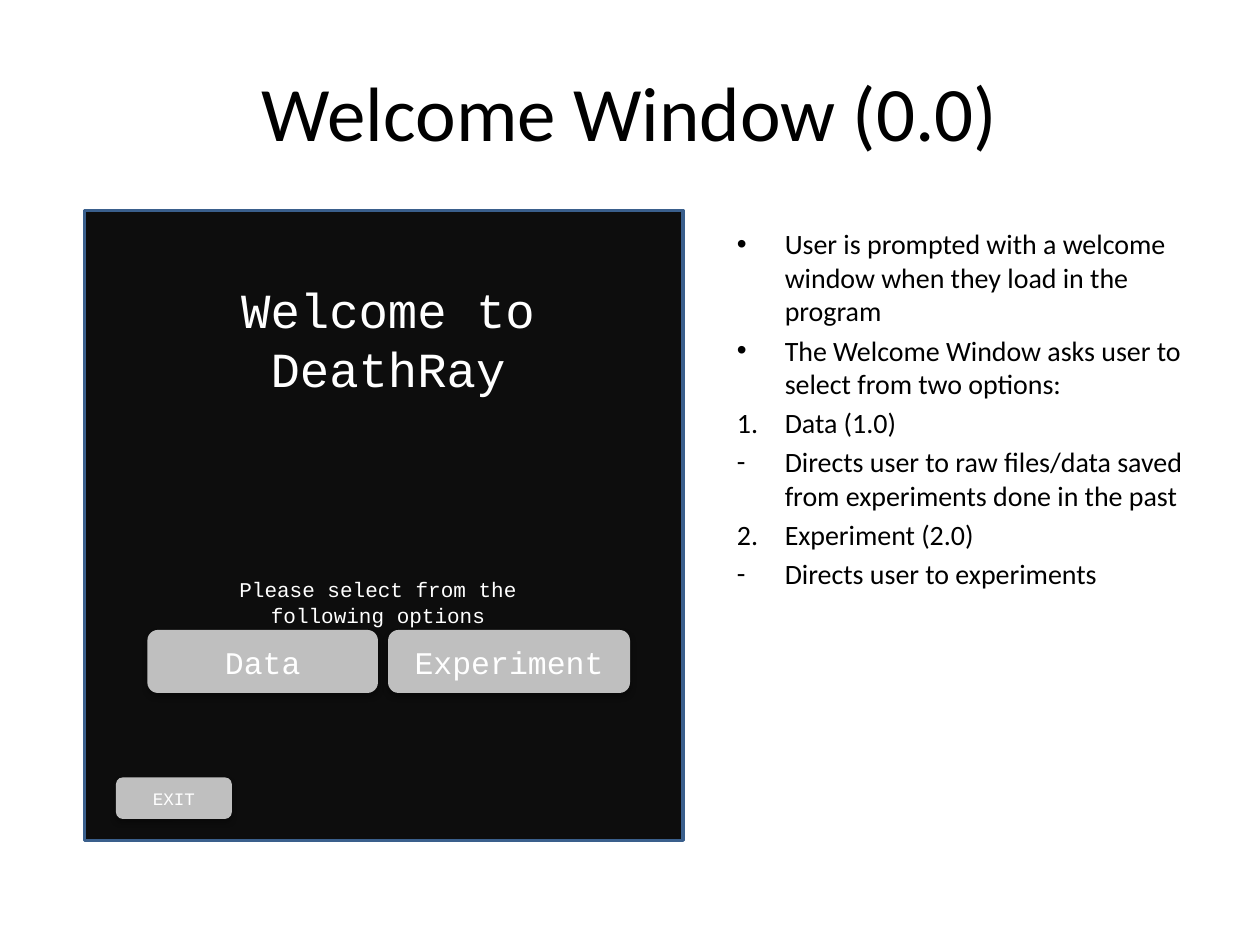
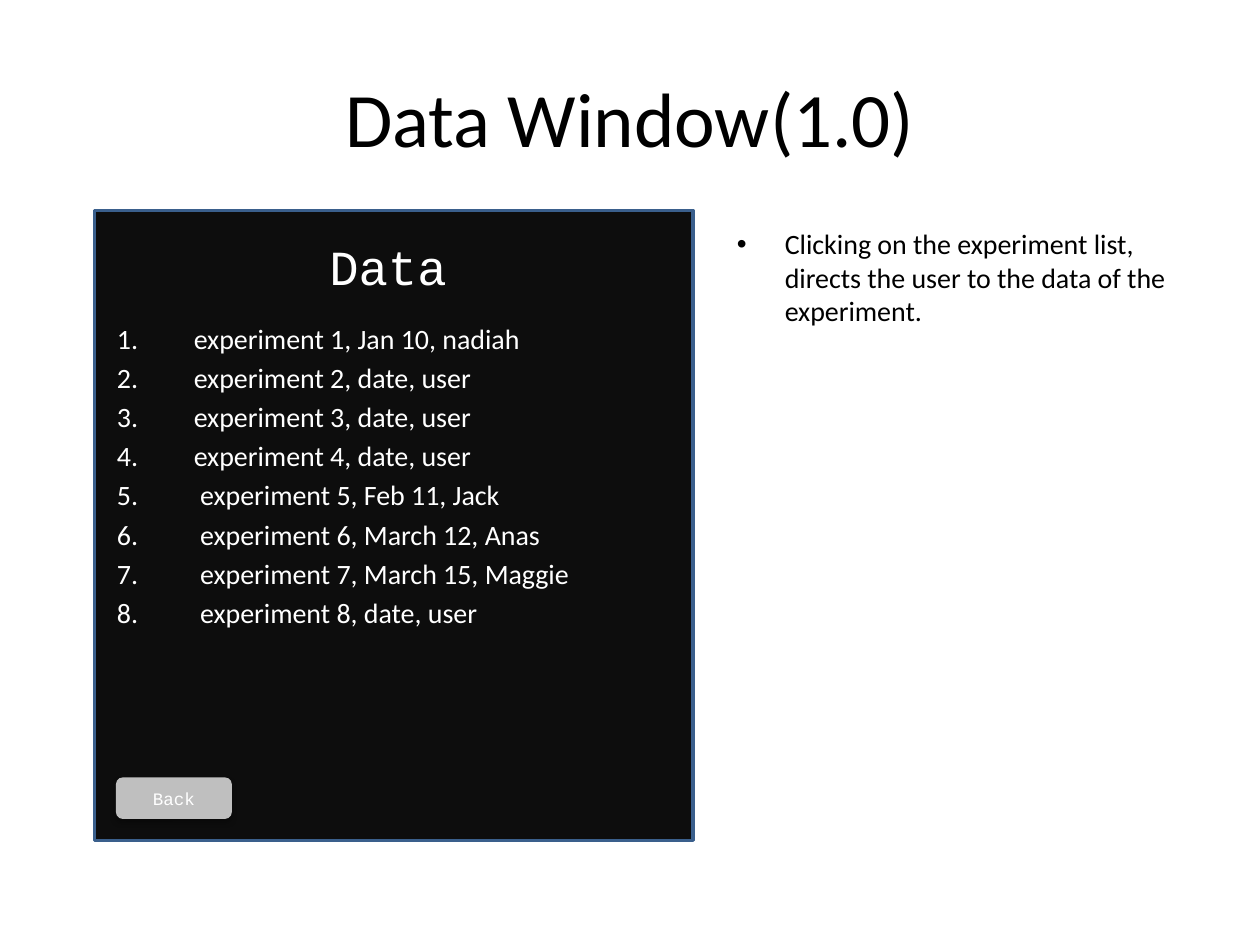
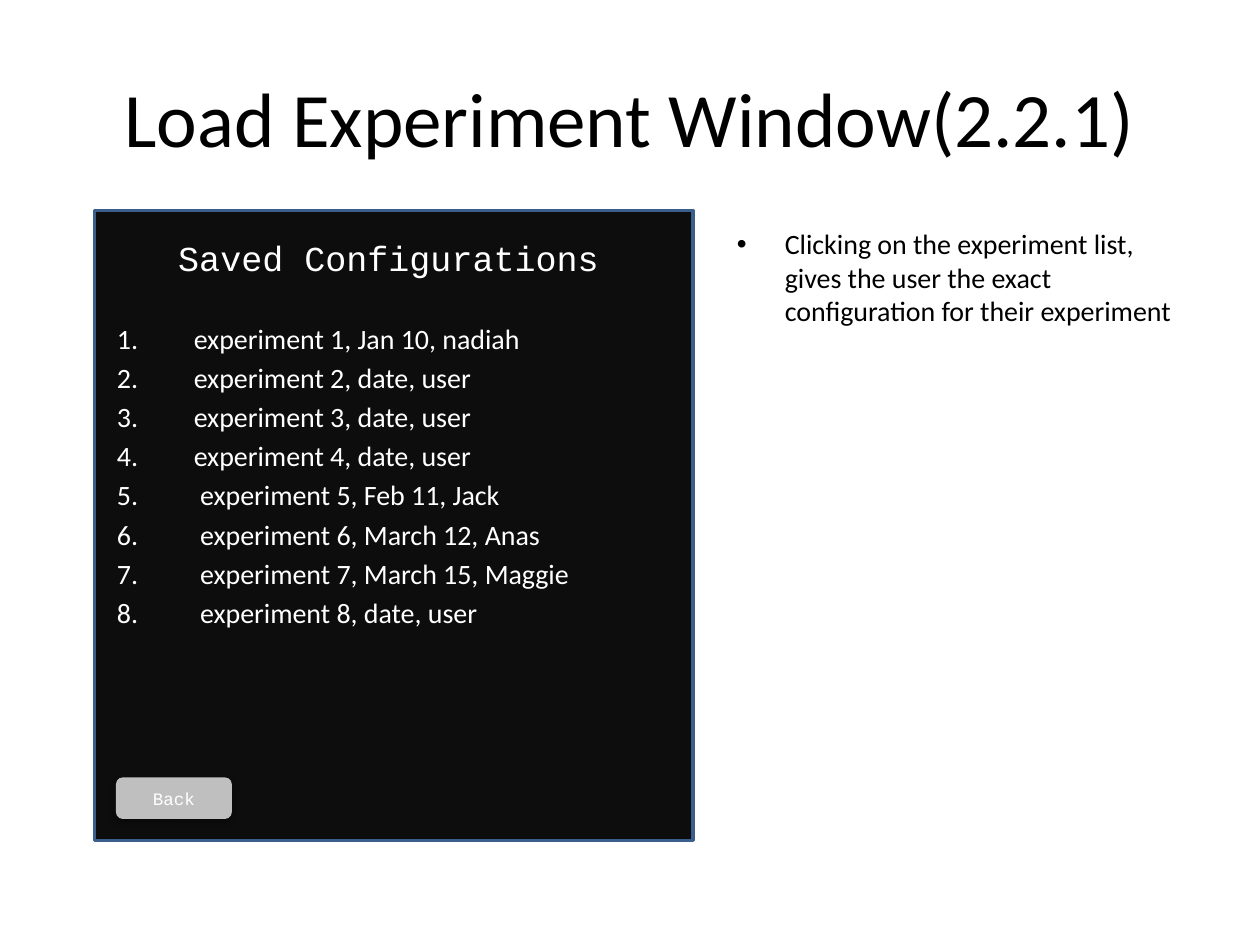
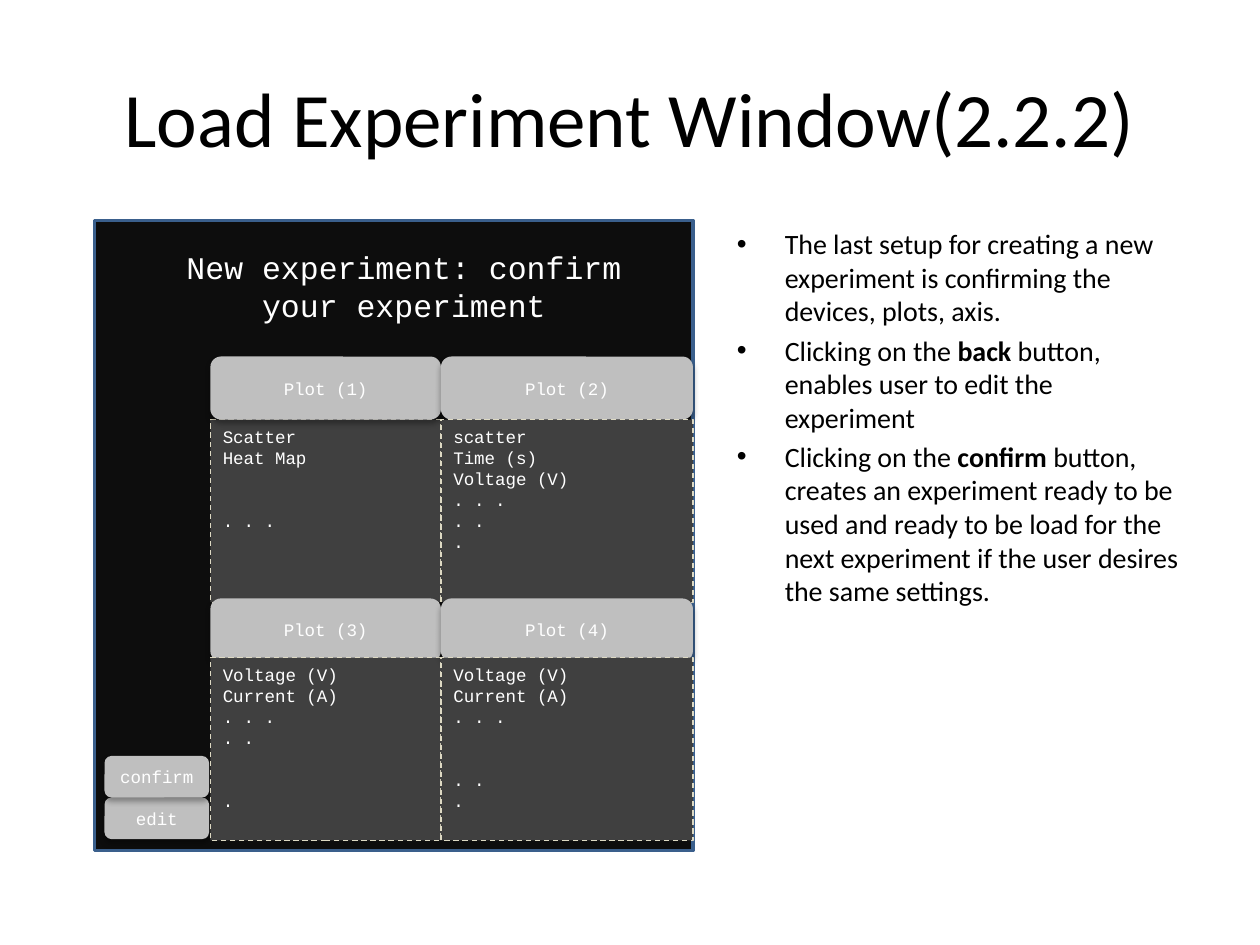
from dataclasses import dataclass

from lxml.etree import SubElement
from pptx import Presentation
from pptx.dml.color import RGBColor
from pptx.enum.dml import MSO_LINE
from pptx.enum.shapes import MSO_SHAPE
from pptx.enum.text import MSO_ANCHOR, PP_ALIGN
from pptx.oxml.ns import qn
from pptx.util import Inches, Pt


@dataclass(frozen=True)
class Theme:
    """Colours, fonts and type sizes shared by all slides."""
    black: RGBColor = RGBColor(0x00, 0x00, 0x00)
    white: RGBColor = RGBColor(0xFF, 0xFF, 0xFF)
    window: RGBColor = RGBColor(0x0D, 0x0D, 0x0D)
    window_border: RGBColor = RGBColor(0x3A, 0x5F, 0x8C)
    button: RGBColor = RGBColor(0xBF, 0xBF, 0xBF)
    panel: RGBColor = RGBColor(0x40, 0x40, 0x40)
    panel_border: RGBColor = RGBColor(0xDD, 0xD9, 0xC3)
    text_font: str = "Calibri"
    screen_font: str = "Courier New"
    title_size: int = 44
    text_size: int = 16
    large_button_size: int = 18
    small_size: int = 10
    list_gap: float = 3.2


theme = Theme()

TITLE = {"font": theme.text_font, "color": theme.black, "size": theme.title_size,
         "align": PP_ALIGN.CENTER, "anchor": MSO_ANCHOR.MIDDLE}
NOTES = {"font": theme.text_font, "color": theme.black, "size": theme.text_size,
         "align": PP_ALIGN.LEFT, "anchor": MSO_ANCHOR.TOP}
LIST = {**NOTES, "color": theme.white}
SCREEN = {"font": theme.screen_font, "color": theme.white, "size": theme.small_size,
          "align": PP_ALIGN.CENTER, "anchor": MSO_ANCHOR.TOP}
WINDOW = {**SCREEN, "shape": MSO_SHAPE.RECTANGLE, "fill": theme.window,
          "line": {"color": theme.window_border, "width": 2}}
BUTTON = {**SCREEN, "shape": MSO_SHAPE.ROUNDED_RECTANGLE, "fill": theme.button,
          "shadow": True, "anchor": MSO_ANCHOR.MIDDLE}
LARGE_BUTTON = {**BUTTON, "size": theme.large_button_size}
PANEL = {**SCREEN, "shape": MSO_SHAPE.RECTANGLE, "fill": theme.panel, "align": PP_ALIGN.LEFT,
         "line": {"color": theme.panel_border, "width": 0.75, "dash": MSO_LINE.DASH}}


def write_text(shape, paragraphs, style):
    """Fill a shape with paragraphs; text between bars is bold."""
    frame = shape.text_frame
    frame.word_wrap = True
    frame.vertical_anchor = style["anchor"]
    for index, item in enumerate(paragraphs):
        paragraph = frame.paragraphs[0] if index == 0 else frame.add_paragraph()
        paragraph.alignment = style["align"]
        paragraph.space_before = Pt(item.get("before", 0))
        for part, text in enumerate(item["text"].split("|")):
            run = paragraph.add_run()
            run.text = text
            font_format = {"name": style["font"], "size": Pt(style["size"]),
                           "bold": part % 2 == 1}
            for name, value in font_format.items():
                setattr(run.font, name, value)
            run.font.color.rgb = style["color"]
        if "bullet" in item:
            properties = paragraph._p.get_or_add_pPr()
            properties.set("marL", str(Inches(item["indent"])))
            properties.set("indent", str(-Inches(item["indent"])))
            SubElement(properties, qn("a:buFont"), typeface=item.get("bullet_font", "Calibri"))
            if item["bullet"] == "1.":
                number = SubElement(properties, qn("a:buAutoNum"), type="arabicPeriod")
                if "start" in item:
                    number.set("startAt", str(item["start"]))
            else:
                SubElement(properties, qn("a:buChar"), char=item["bullet"])


def add_box(slide, box, paragraphs, style):
    """Add a text box, or the preset shape the style asks for, and its text."""
    place = [Inches(length) for length in box]
    if "shape" not in style:
        shape = slide.shapes.add_textbox(*place)
    else:
        shape = slide.shapes.add_shape(style["shape"], *place)
        shape.fill.solid()
        shape.fill.fore_color.rgb = style["fill"]
        shape.shadow.inherit = False
        if "line" in style:
            shape.line.color.rgb = style["line"]["color"]
            shape.line.width = Pt(style["line"]["width"])
            if "dash" in style["line"]:
                shape.line.dash_style = style["line"]["dash"]
        else:
            shape.line.fill.background()
        if "shadow" in style:
            effects = shape.element.spPr.find(qn("a:effectLst"))
            shadow = SubElement(effects, qn("a:outerShdw"), blurRad=str(Pt(3.5)),
                                dist=str(Pt(2.2)), dir="5400000", rotWithShape="0")
            color = SubElement(shadow, qn("a:srgbClr"), val="000000")
            SubElement(color, qn("a:alpha"), val="32000")
    write_text(shape, paragraphs, style)


# Titles, mock windows and notes: what every slide has
pages = [
    {"title": "Welcome Window (0.0)", "title_top": 0.25, "window": (0.67, 1.67),
     "heading": ("Welcome to DeathRay", 28, (1.58, 2.17, 3, 1.04)),
     "notes": [("•", "User is prompted with a welcome window when they load in the program"),
               ("•", "The Welcome Window asks user to select from two options:"),
               ("1.", "Data (1.0)"),
               ("-", "Directs user to raw files/data saved from experiments done in the past"),
               ("2.", "Experiment (2.0)"),
               ("-", "Directs user to experiments")]},
    {"title": "Data Window(1.0)", "title_top": 0.3, "window": (0.75, 1.67),
     "heading": ("Data", 28, (1.58, 1.83, 3, 0.57)),
     "notes": [("•", "Clicking on the experiment list, directs the user to the data of "
                     "the experiment.")]},
    {"title": "Load Experiment Window(2.2.1)", "title_top": 0.3, "window": (0.75, 1.67),
     "heading": ("Saved Configurations", 20, (0.92, 1.83, 4.33, 0.44)),
     "notes": [("•", "Clicking on the experiment list, gives the user the exact "
                     "configuration for their experiment")]},
    {"title": "Load Experiment Window(2.2.2)", "title_top": 0.3, "window": (0.75, 1.75),
     "heading": ("New experiment: confirm your experiment", 18, (1.33, 1.92, 3.75, 0.71)),
     "notes": [("•", "The last setup for creating a new experiment is confirming the "
                     "devices, plots, axis."),
               ("•", "Clicking on the |back| button, enables user to edit the experiment"),
               ("•", "Clicking on the| confirm |button, creates an experiment ready to be used "
                     "and ready to be load for the next experiment if the user desires the "
                     "same settings.")]},
]

presentation = Presentation()
presentation.slide_width = Inches(10)
presentation.slide_height = Inches(7.5)
title_only = presentation.slide_layouts[5]

slides = []
for page in pages:
    slide = presentation.slides.add_slide(title_only)
    slides.append(slide)
    title = slide.shapes.title
    title_place = {"left": 0.5, "top": page["title_top"], "width": 9, "height": 1.25}
    for name, value in title_place.items():
        setattr(title, name, Inches(value))
    write_text(title, [{"text": page["title"]}], TITLE)

    add_box(slide, (*page["window"], 4.75, 5), [], WINDOW)
    notes = []
    for index, (bullet, text) in enumerate(page["notes"]):
        note = {"text": text, "bullet": bullet, "indent": 0.38,
                "before": theme.list_gap if index else 0}
        if bullet == "•":
            note["bullet_font"] = "Arial"
        if bullet == "2.":
            note.update(bullet="1.", start=2)
        notes.append(note)
    add_box(slide, (5.75, 1.75, 3.75, 4.95), notes, NOTES)
    heading, size, box = page["heading"]
    add_box(slide, box, [{"text": heading}], {**SCREEN, "size": size})

welcome_slide, data_slide, saved_slide, confirm_slide = slides

# Welcome window: prompt and choices
add_box(welcome_slide, (1.5, 4.53, 3, 0.5),
        [{"text": "Please select from the following options"}], {**SCREEN, "size": 12})
for label, left, width in [("Data", 1.17, 1.83), ("Experiment", 3.08, 1.92)]:
    add_box(welcome_slide, (left, 5, width, 0.5), [{"text": label}], LARGE_BUTTON)

# Exit and back buttons
for slide, label in [(welcome_slide, "EXIT"), (data_slide, "Back"), (saved_slide, "Back")]:
    add_box(slide, (0.92, 6.17, 0.92, 0.33), [{"text": label}], BUTTON)

# Data and saved configurations: the same list of experiments
details = ["Jan 10, nadiah", "date, user", "date, user", "date, user",
           "Feb 11, Jack", "March 12, Anas", "March 15, Maggie", "date, user"]
experiments = [
    {"text": f"experiment {number}, {detail}", "bullet": "1.",
     "indent": 0.61 if number < 5 else 0.66,
     "before": theme.list_gap if number > 1 else 0}
    for number, detail in enumerate(details, start=1)
]
for slide in (data_slide, saved_slide):
    add_box(slide, (0.83, 2.5, 3.92, 3.42), experiments, LIST)

# Confirm window: buttons and a two by two grid of plots
for label, top in [("edit", 6.33), ("confirm", 6)]:
    add_box(confirm_slide, (0.83, top, 0.83, 0.33), [{"text": label}], BUTTON)

columns = [(1.67, 1.83), (3.5, 2)]
rows = [(2.83, 3.33), (4.75, 5.22)]
two_lines = 24
plots = [
    [("Scatter", 0), ("Heat Map", 0), (". . .", two_lines)],
    [("scatter", 0), ("Time (s)", 0), ("Voltage (V)", 0), (". . .", 0), (". .", 0), (".", 0)],
    [("Voltage (V)", 0), ("Current (A)", 0), (". . .", 0), (". .", 0), (".", two_lines)],
    [("Voltage (V)", 0), ("Current (A)", 0), (". . .", 0), (". .", two_lines), (".", 0)],
]
for index, lines in enumerate(plots):
    left, width = columns[index % 2]
    header_top, panel_top = rows[index // 2]
    header = ((left, header_top, width, 0.5), [{"text": f"Plot ({index + 1})"}], BUTTON)
    panel = ((left, panel_top, width, 1.45),
             [{"text": text, "before": gap} for text, gap in lines], PANEL)
    # Only the first header casts its shadow on the panel below it
    for part in (panel, header) if index == 0 else (header, panel):
        add_box(confirm_slide, *part)

presentation.save("out.pptx")
